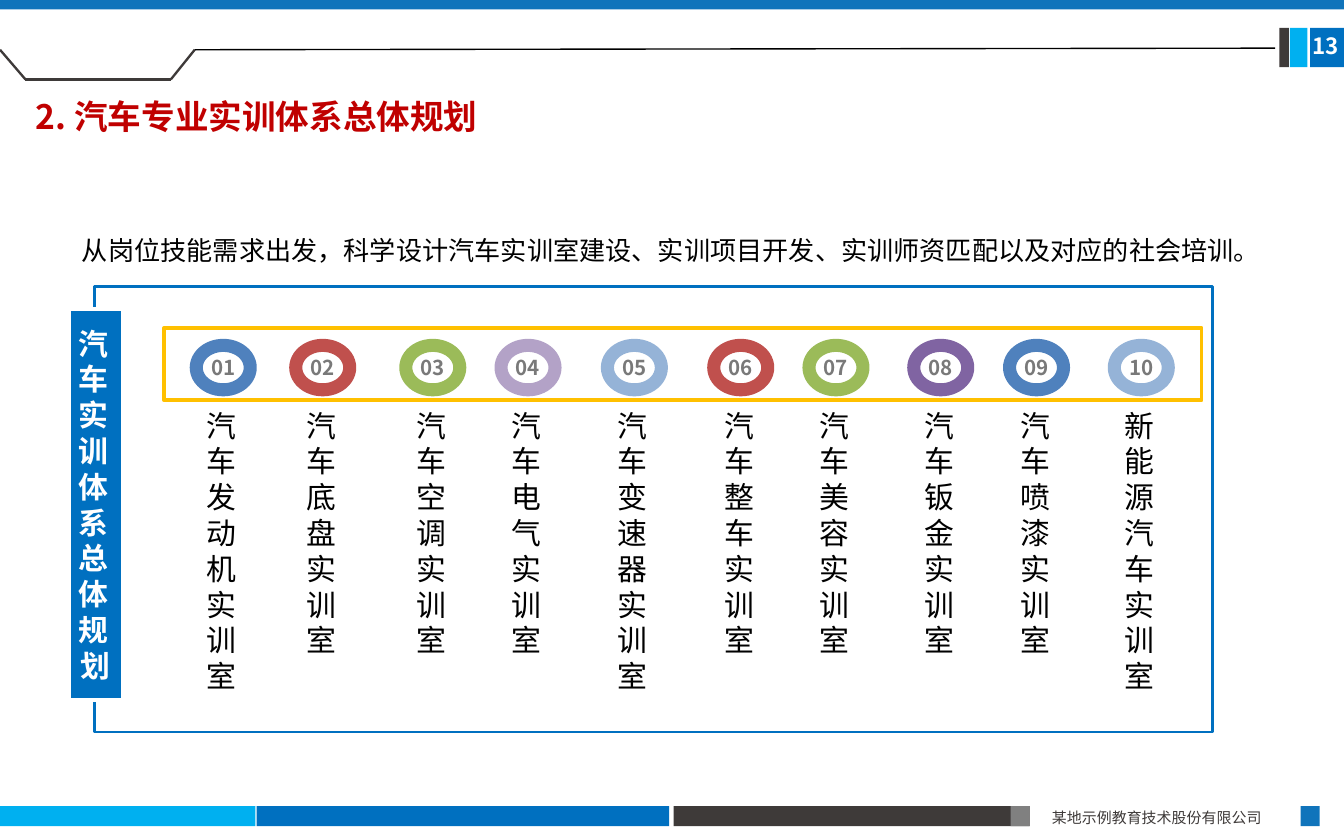
from lxml import etree
from pptx import Presentation
from pptx.dml.color import RGBColor
from pptx.enum.shapes import MSO_CONNECTOR, MSO_SHAPE
from pptx.enum.text import MSO_ANCHOR, PP_ALIGN
from pptx.oxml.ns import qn
from pptx.util import Cm, Pt

RECTANGLE, OVAL = MSO_SHAPE.RECTANGLE, MSO_SHAPE.OVAL
STRAIGHT = MSO_CONNECTOR.STRAIGHT
TOP, MIDDLE = MSO_ANCHOR.TOP, MSO_ANCHOR.MIDDLE
LEFT, CENTER = PP_ALIGN.LEFT, PP_ALIGN.CENTER
FONT = "Noto Sans CJK SC"
BLUE, SKY, HEADER_BLUE, DARK = "0070C0", "00B0F0", "1074BB", "3E3A39"
WHITE, BLACK = "FFFFFF", "000000"
VERTICAL_PITCH = Pt(19.2)

presentation = Presentation()
presentation.slide_width, presentation.slide_height = Cm(25.4), Cm(15.88)
slide = presentation.slides.add_slide(presentation.slide_layouts[6])
color = RGBColor.from_string


def add_box(box, fill=None, line=None, line_width=1, kind=RECTANGLE):
    shape = slide.shapes.add_shape(kind, *map(Cm, box))
    shape.shadow.inherit = False
    if fill:
        shape.fill.solid()
        shape.fill.fore_color.rgb = color(fill)
    else:
        shape.fill.background()
    if line:
        shape.line.color.rgb = color(line)
        shape.line.width = Pt(line_width)
    else:
        shape.line.fill.background()
    return shape


def write(shape, text, size, text_color, bold=False, align=LEFT, anchor=TOP,
          insets=(0.25, 0.13), wrap=True, line_spacing=None):
    frame = shape.text_frame
    frame.word_wrap = wrap
    frame.vertical_anchor = anchor
    frame.margin_left = frame.margin_right = Cm(insets[0])
    frame.margin_top = frame.margin_bottom = Cm(insets[1])
    paragraph = frame.paragraphs[0]
    paragraph.text = text
    paragraph.alignment = align
    if line_spacing:
        paragraph.line_spacing = line_spacing
    font = paragraph.font
    font.name, font.size, font.bold = FONT, Pt(size), bold
    font.color.rgb = color(text_color)
    # East Asian typeface for the Chinese characters
    properties = paragraph._p.pPr.find(qn("a:defRPr"))
    etree.SubElement(properties, qn("a:ea")).set("typeface", FONT)
    return properties


# Footer bars, header bar and page number blocks
for box, fill in [
    ((0, 15.24, 4.83, 0.38), SKY),
    ((4.85, 15.24, 7.8, 0.38), BLUE),
    ((12.73, 15.24, 6.73, 0.38), DARK),
    ((19.1, 15.24, 0.36, 0.38), "808080"),
    ((24.58, 15.24, 0.36, 0.38), HEADER_BLUE),
    ((24.76, 0.53, 0.65, 0.74), BLUE),
    ((24.38, 0.53, 0.33, 0.74), SKY),
    ((24.18, 0.53, 0.18, 0.74), DARK),
    ((0, 0, 25.4, 0.18), HEADER_BLUE),
]:
    add_box(box, fill)

# Header line with its tab
for ends, line_color, width in [
    ((0.48, 1.5, 3.23, 1.5), DARK, 1.25),
    ((3.23, 1.5, 3.68, 0.94), DARK, 1.25),
    ((0.48, 1.5, 0, 0.94), DARK, 1.25),
    ((3.68, 0.94, 24.1, 0.91), BLACK, 0.75),
]:
    connector = slide.shapes.add_connector(STRAIGHT, *map(Cm, ends))
    connector.line.color.rgb = color(line_color)
    connector.line.width = Pt(width)
    etree.SubElement(connector._element.spPr, qn("a:effectLst"))

# Title, introduction, page number and footer text
for box, text, size, text_color, options in [
    ((0.43, 1.68, 9.19, 1.02), "2. 汽车专业实训体系总体规划", 18, "C00000",
     {"bold": True, "wrap": False}),
    ((1.3, 4.01, 22.4, 1.14),
     "从岗位技能需求出发，科学设计汽车实训室建设、实训项目开发、实训师资匹配以及对应的社会培训。",
     14, BLACK, {"anchor": MIDDLE, "line_spacing": 1.5}),
    ((24.56, 0.48, 1.27, 0.76), "13", 12, WHITE, {"bold": True}),
    ((19.63, 15.16, 4.93, 0.61), "某地示例教育技术股份有限公司", 8, DARK,
     {"wrap": False}),
]:
    write(slide.shapes.add_textbox(*map(Cm, box)), text, size, text_color, **options)

# Frame with its vertical heading
add_box((1.78, 5.41, 21.13, 8.43), line=BLUE, line_width=1.5)
heading = add_box((1.3, 5.84, 1.02, 7.39), BLUE, WHITE, 2)
heading_properties = write(heading, "汽车实训体系总体规划", 16, WHITE, True, CENTER,
                           MIDDLE, (0, 0), line_spacing=VERTICAL_PITCH)
heading_properties.set("spc", "260")

# Training rooms: numbered ring above a name of one character per line
rooms = [
    (3.71, "4F81BD", "汽车发动机实训室"),
    (5.59, "C0504D", "汽车底盘实训室"),
    (7.67, "9BBB59", "汽车空调实训室"),
    (9.47, "B3A2C7", "汽车电气实训室"),
    (11.48, "95B3D7", "汽车变速器实训室"),
    (13.49, "C0504D", "汽车整车实训室"),
    (15.29, "9BBB59", "汽车美容实训室"),
    (17.27, "8064A2", "汽车钣金实训室"),
    (19.08, "4F81BD", "汽车喷漆实训室"),
    (21.06, "95B3D7", "新能源汽车实训室"),
]
for number, (left, ring_color, name) in enumerate(rooms, start=1):
    ring = add_box((left, 6.53, 1.02, 0.84), WHITE, ring_color, 7, OVAL)
    write(ring, f"{number:02d}", 11, "797979", True, CENTER, MIDDLE, (0, 0), False)
    label = slide.shapes.add_textbox(Cm(left), Cm(7.6), Cm(1), Cm(0.86))
    write(label, name, 16, BLACK, insets=(0.2, 0.1), line_spacing=VERTICAL_PITCH)

# Highlight around the rings
add_box((3.1, 6.2, 19.61, 1.37), line="FFC000", line_width=2)

presentation.save("out.pptx")
